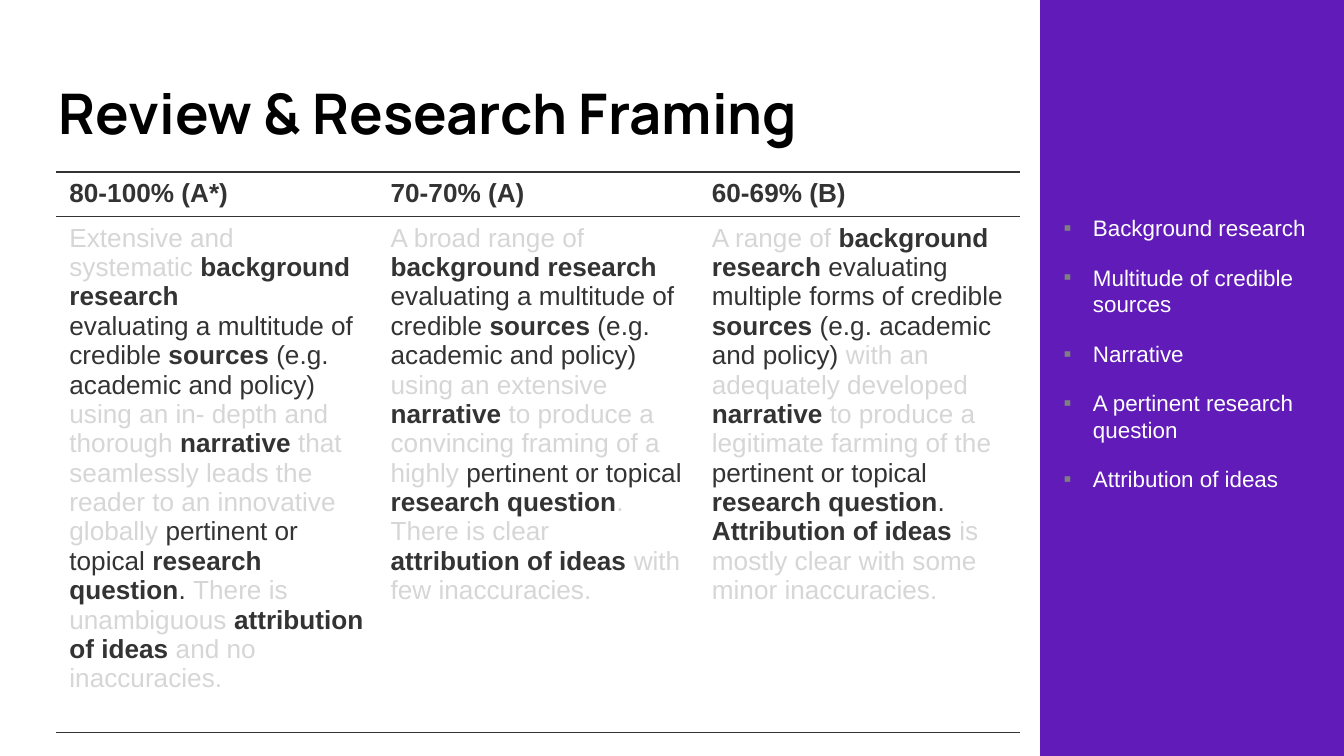
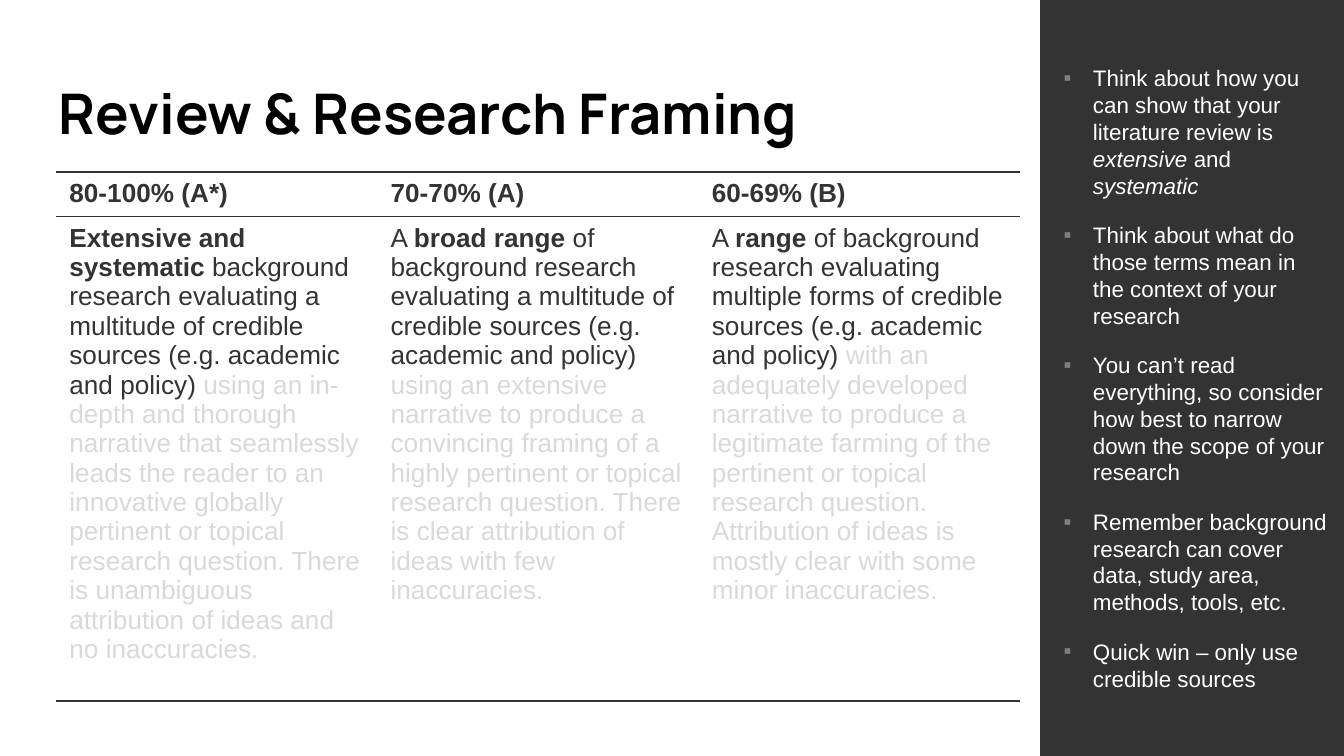
from dataclasses import dataclass

from lxml import etree
from pptx import Presentation
from pptx.dml.color import RGBColor
from pptx.enum import shapes, text
from pptx.oxml import ns
from pptx.util import Pt


@dataclass(frozen=True)
class Theme:
    ink: str = "333333"
    title_ink: str = "000000"
    white: str = "FFFFFF"
    purple: str = "611BB8"
    bullet: str = "7F7F7F"
    heading_font: str = "Manrope"
    body_font: str = "Arial"
    title_size: float = 30
    table_size: float = 14
    panel_size: float = 12
    outer_rule: float = 1
    header_rule: float = 0.5


THEME = Theme()
SLIDE_SIZE = (720, 405)
TITLE = "Review & Research Framing"
GRADES = ("80-100% (A*)", "70-70% (A)", "60-69% (B)")

# A "|" separates runs; the first character of a run gives its style:
# "." plain, "*" bold, "_" italic, "~" muted. "\n" starts a paragraph.
KEY_TERMS = (
    "~Extensive and systematic |*background research\n"
    ".evaluating a multitude of credible |*sources|. (e.g. academic and policy) "
    "|~using an in- depth and thorough |*narrative"
    "|~ that seamlessly leads the reader to an innovative globally "
    "|.pertinent or topical |*research question|.. |~There is unambiguous "
    "|*attribution of ideas|~ and no inaccuracies.",
    "~A broad range of |*background research |.evaluating a multitude of credible "
    "|*sources|. (e.g. academic and policy) |~using an extensive |*narrative"
    "|~ to produce a convincing framing of a highly |.pertinent or topical "
    "|*research question|~. There is clear |*attribution of ideas "
    "|~with few inaccuracies.",
    "~A range of |*background research |.evaluating multiple forms of credible "
    "|*sources|. (e.g. academic and policy) |~with an adequately developed "
    "|*narrative|~ to produce a legitimate farming of the |.pertinent or topical "
    "|*research question|.. |*Attribution of ideas "
    "|~is mostly clear with some minor inaccuracies.",
)
RESEARCH_RANGE = (
    "*Extensive and systematic |.background research evaluating a multitude of "
    "credible sources (e.g. academic and policy) |~using an in- depth and thorough "
    "narrative that seamlessly leads the reader to an innovative globally pertinent "
    "or topical research question. There is unambiguous attribution of ideas and no "
    "inaccuracies.",
    ".A |*broad range |.of background research evaluating a multitude of credible "
    "sources (e.g. academic and policy) |~using an extensive narrative to produce a "
    "convincing framing of a highly pertinent or topical research question. There is "
    "clear attribution of ideas with few inaccuracies.",
    ".A |*range|. of background research evaluating multiple forms of credible "
    "sources (e.g. academic and policy) |~with an adequately developed narrative to "
    "produce a legitimate farming of the pertinent or topical research question. "
    "Attribution of ideas is mostly clear with some minor inaccuracies.",
)
CRITERIA = (
    ".Background research",
    ".Multitude of credible sources",
    ".Narrative",
    ".A pertinent research question",
    ".Attribution of ideas",
)
ADVICE = (
    ".Think about how you can show that your literature review is |_extensive"
    "|. and |_systematic",
    ".Think about what do those terms mean in the context of your research",
    ".You can’t read everything, so consider how best to narrow down the scope "
    "of your research",
    ".Remember background research can cover data, study area, methods, tools, etc.",
    ".Quick win – only use credible sources",
)


def set_all(target, values):
    for name, value in values.items():
        setattr(target, name, value)


def add_run(paragraph, words, font, size, color, bold=False, italic=False):
    run = paragraph.add_run()
    run.text = words
    set_all(run.font, dict(name=font, size=Pt(size), bold=bold, italic=italic))
    run.font.color.rgb = RGBColor.from_string(color)


def add_marked_runs(paragraph, marked, size, color, muted=None):
    for piece in marked.split("|"):
        mark, words = piece[0], piece[1:]
        add_run(paragraph, words, THEME.body_font, size,
                muted if mark == "~" else color, mark == "*", mark == "_")


def set_bullet(paragraph):
    properties = paragraph._p.get_or_add_pPr()
    properties.set("marL", str(Pt(22.5)))
    properties.set("indent", str(Pt(-15.75)))
    color = etree.SubElement(properties, ns.qn("a:buClr"))
    etree.SubElement(color, ns.qn("a:srgbClr"), val=THEME.bullet)
    etree.SubElement(properties, ns.qn("a:buFont"), typeface=THEME.body_font)
    etree.SubElement(properties, ns.qn("a:buChar"), char="▪")


def set_borders(cell, top, bottom):
    """Rule a cell above and below by width in points; 0 means no line."""
    properties = cell._tc.get_or_add_tcPr()
    for side, width in dict(lnL=0, lnR=0, lnT=top, lnB=bottom).items():
        line = etree.SubElement(properties, ns.qn(f"a:{side}"), w=str(Pt(width)))
        if width:
            fill = etree.SubElement(line, ns.qn("a:solidFill"))
            etree.SubElement(fill, ns.qn("a:srgbClr"), val=THEME.ink)
        else:
            etree.SubElement(line, ns.qn("a:noFill"))


def add_title(slide):
    box = slide.shapes.add_textbox(Pt(24.5), Pt(35.5), Pt(671), Pt(49))
    frame = box.text_frame
    inset = Pt(7.2)
    set_all(frame, dict(word_wrap=True, vertical_anchor=text.MSO_ANCHOR.MIDDLE,
                        margin_left=inset, margin_right=inset,
                        margin_top=inset, margin_bottom=inset))
    add_run(frame.paragraphs[0], TITLE, THEME.heading_font, THEME.title_size,
            THEME.title_ink, bold=True)


def add_grade_table(slide, descriptions, muted, body_height):
    column_width, header_height = 172.1, 23.75
    table = slide.shapes.add_table(
        2, len(GRADES), Pt(30), Pt(92.1), Pt(column_width * len(GRADES)),
        Pt(header_height + body_height)).table
    set_all(table, dict(first_row=False, horz_banding=False))
    for column in table.columns:
        column.width = Pt(column_width)
    headings = ["*" + grade for grade in GRADES]
    rows = (
        (headings, header_height, THEME.outer_rule, THEME.header_rule),
        (descriptions, body_height, THEME.header_rule, THEME.outer_rule),
    )
    for row, (contents, height, top, bottom) in zip(table.rows, rows):
        row.height = Pt(height)
        for cell, content in zip(row.cells, contents):
            set_borders(cell, top, bottom)
            cell.fill.background()
            for index, marked in enumerate(content.split("\n")):
                frame = cell.text_frame
                paragraph = frame.add_paragraph() if index else frame.paragraphs[0]
                add_marked_runs(paragraph, marked, THEME.table_size, THEME.ink, muted)


def add_side_panel(slide, points, color, bottom_inset=3.6):
    left = 557.25
    panel = slide.shapes.add_shape(
        shapes.MSO_SHAPE.RECTANGLE, Pt(left), 0,
        Pt(SLIDE_SIZE[0] - left), Pt(SLIDE_SIZE[1]))
    panel.shadow.inherit = False
    panel.fill.solid()
    panel.fill.fore_color.rgb = RGBColor.from_string(color)
    panel.line.fill.background()
    frame = panel.text_frame
    set_all(frame, dict(word_wrap=True, vertical_anchor=text.MSO_ANCHOR.MIDDLE,
                        margin_left=Pt(5.75), margin_right=Pt(7.2),
                        margin_top=Pt(3.6), margin_bottom=Pt(bottom_inset)))
    for index, point in enumerate(points):
        paragraph = frame.add_paragraph() if index else frame.paragraphs[0]
        set_all(paragraph, dict(alignment=text.PP_ALIGN.LEFT, space_after=Pt(12)))
        set_bullet(paragraph)
        add_marked_runs(paragraph, point, THEME.panel_size, THEME.white)


def main():
    deck = Presentation()
    deck.slide_width, deck.slide_height = map(Pt, SLIDE_SIZE)
    blank = deck.slide_layouts[6]

    criteria = deck.slides.add_slide(blank)
    add_title(criteria)
    add_grade_table(criteria, KEY_TERMS, "D6D6D6", 274.5)
    add_side_panel(criteria, CRITERIA, THEME.purple, bottom_inset=30)

    advice = deck.slides.add_slide(blank)
    add_side_panel(advice, ADVICE, THEME.ink)
    add_title(advice)
    add_grade_table(advice, RESEARCH_RANGE, "D9D9D9", 259)

    deck.save("out.pptx")


if __name__ == "__main__":
    main()
